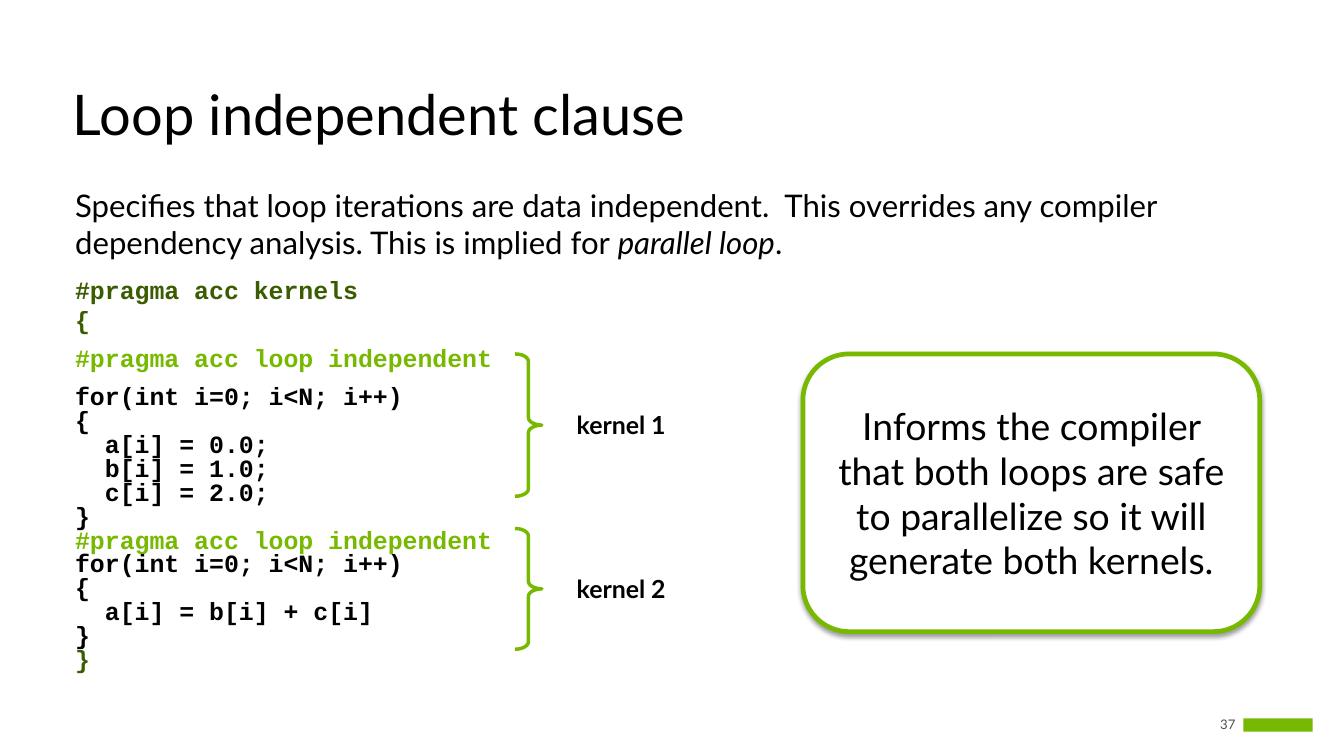
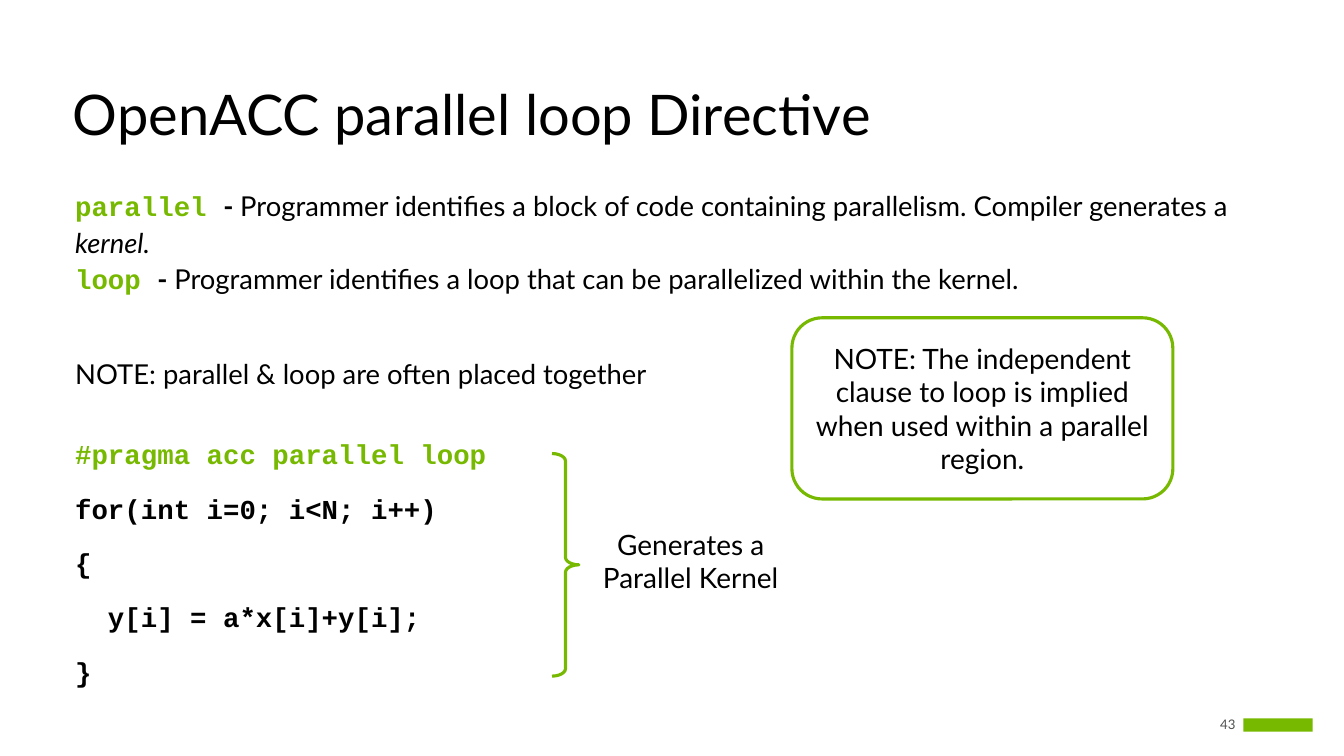
from lxml import etree
from pptx import Presentation
from pptx import util as u
from pptx.dml.color import RGBColor
from pptx.enum import shapes, text
from pptx.oxml import ns

COLORS = {
    "green": "76B900",
    "dark_green": "3B5C00",
    "black": "000000",
    "gray": "505050",
    "white": "FFFFFF",
}
SANS, MONO = "Lato", "Courier New"
CENTER = text.PP_ALIGN.CENTER
TIGHT = {"line_spacing": 0.8}
SPACED = {"space_before": u.Pt(9), "space_after": u.Pt(9)}
TIGHT_SPACED = {**TIGHT, **SPACED}
INSETS = ("margin_left", "margin_top", "margin_right", "margin_bottom")
PLAIN_LIST = {"marL": "0", "indent": "0"}

TITLE_BOX = (1.4, 1.8, 27.7, 1.68)
BODY_BOX = (1.45, 4.1, 27.64, 12.06)
FOOTER_BOX = (27.13, 16.2, 2.64, 0.46)


def color(name):
    return RGBColor.from_string(COLORS[name])


def lengths(box):
    return [u.Cm(value) for value in box]


def set_attributes(target, values):
    for name, value in values.items():
        setattr(target, name, value)


def place(shape, box):
    set_attributes(shape, dict(zip(("left", "top", "width", "height"), lengths(box))))


def run(words, size, tint="black", font=SANS, **styles):
    return words, tint, {"size": u.Pt(size), "name": font, "bold": False, "italic": False, **styles}


def code(words, size, tint="black"):
    return run(words, size, tint, MONO, bold=True)


def write_paragraph(paragraph, runs, layout):
    spacing = {"space_before": u.Pt(0), "space_after": u.Pt(0), "line_spacing": 1.0}
    set_attributes(paragraph, {**spacing, **layout})
    for words, tint, font in runs:
        piece = paragraph.add_run()
        piece.text = words
        set_attributes(piece.font, font)
        piece.font.color.rgb = color(tint)


def write_text(shape, paragraphs, anchor=text.MSO_ANCHOR.TOP, **frame_values):
    frame = shape.text_frame
    set_attributes(frame, {
        "word_wrap": True,
        "auto_size": text.MSO_AUTO_SIZE.NONE,
        "vertical_anchor": anchor,
        **frame_values,
    })
    for index, (runs, layout) in enumerate(paragraphs):
        paragraph = frame.add_paragraph() if index else frame.paragraphs[0]
        write_paragraph(paragraph, runs, layout)


def set_plain_list(paragraph, indent=0):
    properties = paragraph._p.get_or_add_pPr()
    for name, value in {**PLAIN_LIST, "marL": str(int(indent))}.items():
        properties.set(name, value)
    etree.SubElement(properties, ns.qn("a:buNone"))


def add_outlined_shape(container, kind, box, fill="white", line="green", width=2):
    shape = container.add_shape(kind, *lengths(box))
    shape.shadow.inherit = False
    if fill:
        shape.fill.solid()
        shape.fill.fore_color.rgb = color(fill)
    else:
        shape.fill.background()
    if line:
        shape.line.color.rgb = color(line)
        shape.line.width = u.Pt(width)
    else:
        shape.line.fill.background()
    return shape


def add_shadow(shape):
    effects = shape._element.spPr.find(ns.qn("a:effectLst"))
    shadow = etree.SubElement(effects, ns.qn("a:outerShdw"), {
        "blurRad": str(u.Pt(3.1)), "dist": str(u.Pt(1.6)), "dir": "5400000", "rotWithShape": "0",
    })
    tint = etree.SubElement(shadow, ns.qn("a:srgbClr"), val=COLORS["black"])
    etree.SubElement(tint, ns.qn("a:alpha"), val="38000")


def add_title(slide, words, box):
    title = slide.shapes.title
    place(title, box)
    layout = {"line_spacing": 0.9, "alignment": text.PP_ALIGN.LEFT}
    write_text(title, [([run(words, 36)], layout)], text.MSO_ANCHOR.BOTTOM)


def add_body(slide, paragraphs, box, indented, indent):
    body = slide.placeholders[1]
    place(body, box)
    write_text(body, paragraphs)
    for index, paragraph in enumerate(body.text_frame.paragraphs):
        set_plain_list(paragraph, indent if index in indented else 0)


def add_footer(slide, number, box):
    left, top, width, height = box
    page = slide.shapes.add_textbox(*lengths((left, top, 0.89, height)))
    write_text(page, [([run(str(number), 8.5, "gray")], {"alignment": text.PP_ALIGN.RIGHT})],
               text.MSO_ANCHOR.MIDDLE, **dict.fromkeys(INSETS, 0))
    badge_box = (left + 1.07, top + 0.1, width - 1.07, 0.3)
    add_outlined_shape(slide.shapes, shapes.MSO_SHAPE.RECTANGLE, badge_box, "green", None)


def add_bracket(slide, box, label_box, label, fill=None, width=2.25, layout=None):
    left, top = box[:2]
    group = slide.shapes.add_group_shape().shapes
    brace = add_outlined_shape(group, shapes.MSO_SHAPE.RIGHT_BRACE, box, fill, width=width)
    brace.adjustments[0] = 0.279
    label_box = (left + label_box[0], top + label_box[1], *label_box[2:])
    if fill:
        note = add_outlined_shape(group, shapes.MSO_SHAPE.RECTANGLE, label_box, fill, None)
    else:
        note = group.add_textbox(*lengths(label_box))
    write_text(note, [([label], layout or {})])


def add_callout(slide, box, words, size, width):
    callout = add_outlined_shape(slide.shapes, shapes.MSO_SHAPE.ROUNDED_RECTANGLE, box, width=width)
    write_text(callout, [([run(words, size)], {"alignment": CENTER})], text.MSO_ANCHOR.MIDDLE)
    return callout


def add_content_slide(presentation, title, paragraphs, number, indented, code_size):
    slide = presentation.slides.add_slide(presentation.slide_layouts[1])
    add_title(slide, title, TITLE_BOX)
    add_body(slide, paragraphs, BODY_BOX, indented, u.Pt(code_size * 1.2))
    add_footer(slide, number, FOOTER_BOX)
    return slide


def add_independent_slide(presentation):
    size = 16
    pragma = code("#pragma acc loop independent", size, "green")
    loop = code("for(int i=0; i<N; i++)", size)
    opening, closing = code("{", size), code("}", size)
    tight_lines = [
        loop, opening,
        *(code(f"{name}[i] = {value}.0;", size) for value, name in enumerate("abc")),
        closing, pragma, loop, opening, code("a[i] = b[i] + c[i]", size), closing,
        code("}", size, "dark_green"),
    ]
    paragraphs = [
        ([run("Specifies that loop iterations are data independent.  This overrides any compiler "
              "dependency analysis. This is implied for ", 20),
          run("parallel loop", 20, italic=True), run(".", 20)], SPACED),
        ([code("#pragma acc kernels", size, "dark_green")], {}),
        ([code("{", size, "dark_green")], {}),
        ([pragma], TIGHT_SPACED),
        *(([line], TIGHT) for line in tight_lines),
    ]
    slide = add_content_slide(presentation, "Loop independent clause", paragraphs, 37,
                              (6, 7, 8, 13), size)
    for number, (top, height) in enumerate(((8.03, 3.23), (11.99, 2.74)), 1):
        add_bracket(slide, (11.68, top, 0.61, height), (1.15, (height - 0.94) / 2, 3.4, 0.94),
                    run(f"kernel {number}", size, bold=True))
    callout = add_callout(slide, (18.21, 8.03, 10.36, 6.3),
                          "Informs the compiler that both loops are safe to parallelize "
                          "so it will generate both kernels.", 24, 3)
    add_shadow(callout)


def add_directive_slide(presentation):
    size = 17.6
    dash = run("- ", size, bold=True)
    code_lines = ("for(int i=0; i<N; i++)", "{", "y[i] = a*x[i]+y[i];", "}")
    paragraphs = [
        ([code("parallel ", size, "green"), dash,
          run("Programmer identifies a block of code containing parallelism. "
              "Compiler generates a ", size),
          run("kernel.", size, italic=True)], {"line_spacing": 1.1}),
        ([code("loop ", size, "green"), dash,
          run("Programmer identifies a loop that can be parallelized within the kernel.", size)],
         {"line_spacing": 1.1}),
        ([run("NOTE: parallel & loop are often placed together", size)],
         {**TIGHT_SPACED, "space_before": u.Pt(44)}),
        ([code("#pragma acc parallel loop", size, "green")],
         {**TIGHT_SPACED, "space_before": u.Pt(26)}),
        *(([code(line, size)], TIGHT_SPACED) for line in code_lines),
    ]
    slide = add_content_slide(presentation, "OpenACC parallel loop Directive", paragraphs, 43,
                              (6,), size)
    add_bracket(slide, (12.52, 10.29, 0.61, 5.05), (0.86, 1.55, 4.57, 2.57),
                run("Generates a Parallel Kernel", 18), "white", 2, {"alignment": CENTER})
    add_callout(slide, (17.96, 7.21, 8.64, 4.11),
                "NOTE: The independent clause to loop is implied when used "
                "within a parallel region.", 18, 2)


def main():
    presentation = Presentation()
    set_attributes(presentation, {"slide_width": u.Cm(30.48), "slide_height": u.Cm(17.15)})
    add_independent_slide(presentation)
    add_directive_slide(presentation)
    presentation.save("out.pptx")


if __name__ == "__main__":
    main()
